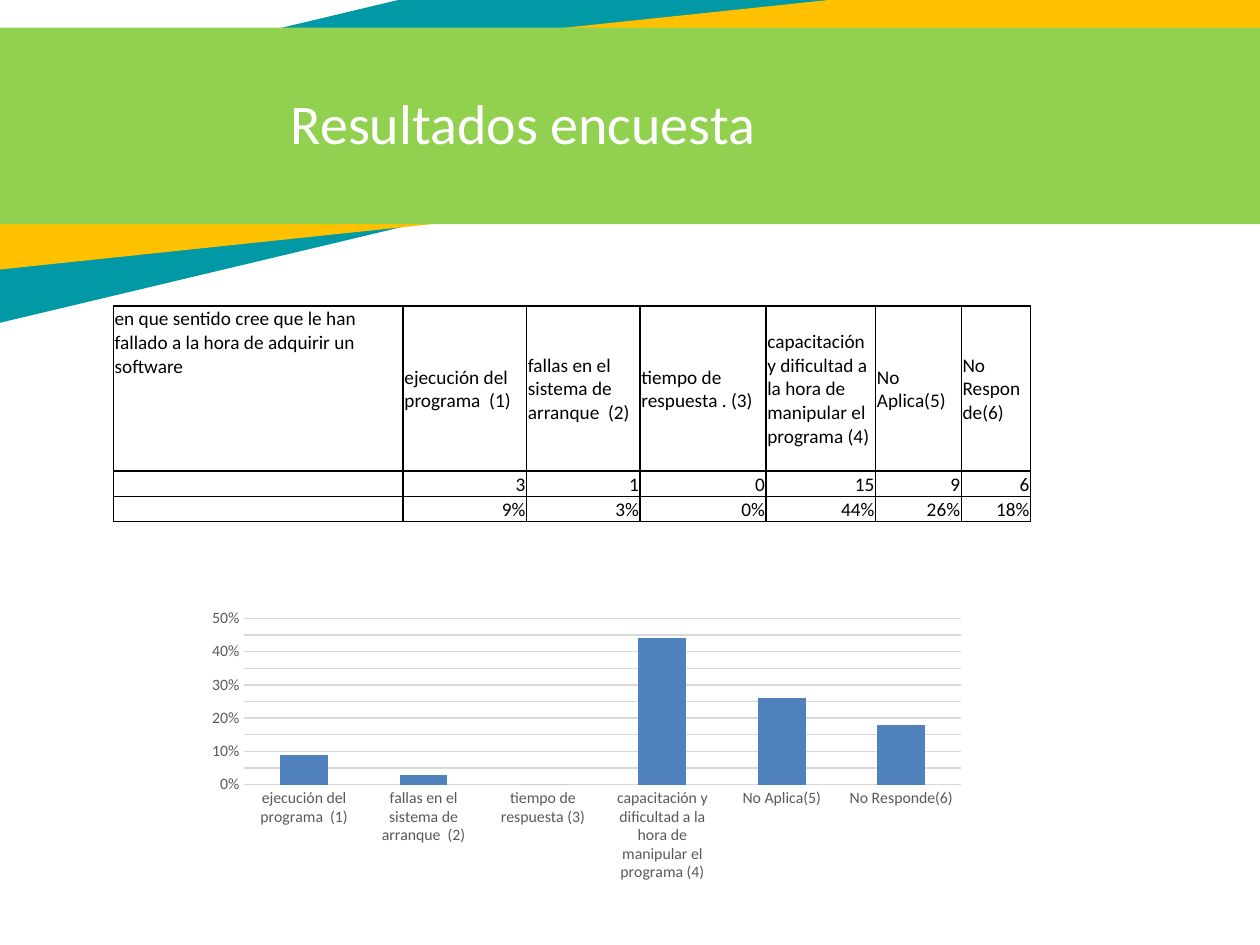
from lxml import etree
from pptx import Presentation
from pptx import util as u
from pptx.chart.data import CategoryChartData
from pptx.dml.color import RGBColor
from pptx.enum import chart as charts, shapes, text
from pptx.oxml.ns import qn

FONT = "Calibri"
COLORS = {
    "teal": "0099A5", "amber": "FFC000", "green": "92D050", "bar": "4F81BD",
    "grid": "D9D9D9", "label": "595959", "black": "000000", "white": "FFFFFF",
}

# Band: left, top, width, height, rotation, colour
BANDS = [
    (-2.51, -0.18, 13.06, 1.76, 346.6, "teal"),
    (-1.1, 0.2, 11.63, 1.44, 354, "amber"),
    (-1.06, 0.22, 11.63, 1.56, 0, "green"),
]

QUESTION = "en que sentido cree que le han fallado a la hora de adquirir un software"
ANSWERS = [
    "ejecución del programa  (1)",
    "fallas en el sistema de arranque  (2)",
    "tiempo de respuesta . (3)",
    "capacitación y dificultad a la hora de manipular el programa (4)",
    "No Aplica(5)",
    "No Responde(6)",
]
COUNTS = [3, 1, 0, 15, 9, 6]
SHARES = [0.09, 0.03, 0, 0.44, 0.26, 0.18]
COLUMN_WIDTHS = [2.3, 0.98, 0.9, 1, 0.87, 0.68, 0.55]
ROW_HEIGHTS = [1.31, 0.19, 0.2]


def rgb(name):
    return RGBColor.from_string(COLORS[name])


def box(left, top, width, height):
    return [u.Inches(length) for length in (left, top, width, height)]


def style_font(font, size, color):
    font.name = FONT
    font.size = u.Pt(size)
    font.color.rgb = rgb(color)


def write(frame, content, size=11, color="black", align=text.PP_ALIGN.LEFT):
    paragraph = frame.paragraphs[0]
    paragraph.alignment = align
    if content:
        run = paragraph.add_run()
        run.text = content
        style_font(run.font, size, color)
    else:
        # An empty cell keeps the line height of its row
        etree.SubElement(paragraph._p, qn("a:endParaRPr"), sz=str(size * 100))


def add_band(slide, left, top, width, height, rotation, color):
    band = slide.shapes.add_shape(
        shapes.MSO_SHAPE.RECTANGLE, *box(left, top, width, height))
    band.rotation = rotation
    band.shadow.inherit = False
    band.fill.solid()
    band.fill.fore_color.rgb = rgb(color)
    band.line.fill.background()


def add_title(slide):
    title = slide.shapes.add_textbox(*box(2.21, 0.65, 3.93, 0.64))
    title.text_frame.word_wrap = False
    title.text_frame.auto_size = text.MSO_AUTO_SIZE.SHAPE_TO_FIT_TEXT
    write(title.text_frame, "Resultados encuesta", size=32, color="white")


def add_borders(cell):
    properties = cell._tc.get_or_add_tcPr()
    for index, side in enumerate(("lnL", "lnR", "lnT", "lnB")):
        line = etree.Element(qn(f"a:{side}"), w=str(u.Pt(1)))
        fill = etree.SubElement(line, qn("a:solidFill"))
        etree.SubElement(fill, qn("a:srgbClr"), val=COLORS["black"])
        properties.insert(index, line)


def add_results_table(slide):
    rows = [
        [QUESTION, *ANSWERS],
        ["", *map(str, COUNTS)],
        ["", *(f"{share:.0%}" for share in SHARES)],
    ]
    table = slide.shapes.add_table(
        len(rows), len(COLUMN_WIDTHS), *box(0.9, 2.43, 7.27, 1.7)).table
    table.first_row = table.horz_banding = False
    for column, width in zip(table.columns, COLUMN_WIDTHS):
        column.width = u.Inches(width)
    for row, height in zip(table.rows, ROW_HEIGHTS):
        row.height = u.Inches(height)

    for r, row in enumerate(rows):
        for c, content in enumerate(row):
            cell = table.cell(r, c)
            cell.margin_left = cell.margin_right = cell.margin_top = u.Inches(0.01)
            cell.margin_bottom = 0
            cell.fill.background()
            add_borders(cell)
            if r > 0:
                cell.vertical_anchor = text.MSO_ANCHOR.BOTTOM
            elif c > 0:
                cell.vertical_anchor = text.MSO_ANCHOR.MIDDLE
            write(cell.text_frame, content,
                  align=text.PP_ALIGN.RIGHT if r else text.PP_ALIGN.LEFT)


def style_line(line, color="grid"):
    line.color.rgb = rgb(color)
    line.width = u.Pt(0.75)


def add_results_chart(slide):
    data = CategoryChartData(number_format="0%")
    data.categories = [answer.replace(" . ", " ") for answer in ANSWERS]
    data.add_series("Series 1", SHARES)
    chart = slide.shapes.add_chart(
        charts.XL_CHART_TYPE.COLUMN_STACKED, *box(1.56, 4.79, 6.19, 2.25), data).chart
    chart.has_legend = chart.has_title = False
    style_font(chart.font, 10, "black")

    plot = chart.plots[0]
    plot.gap_width = 150
    plot.overlap = 100
    plot.vary_by_categories = False
    columns = plot.series[0].format.fill
    columns.solid()
    columns.fore_color.rgb = rgb("bar")

    answer_axis, share_axis = chart.category_axis, chart.value_axis
    for axis in (answer_axis, share_axis):
        axis.major_tick_mark = axis.minor_tick_mark = charts.XL_TICK_MARK.NONE
        style_font(axis.tick_labels.font, 9, "label")
    style_line(answer_axis.format.line)

    share_axis.minimum_scale, share_axis.maximum_scale = 0, 0.5
    share_axis.major_unit, share_axis.minor_unit = 0.1, 0.05
    share_axis.tick_labels.number_format = "0%"
    share_axis.tick_labels.number_format_is_linked = False
    share_axis.format.line.fill.background()
    share_axis.has_major_gridlines = share_axis.has_minor_gridlines = True
    style_line(share_axis.major_gridlines.format.line)
    # Minor gridlines take the same line as the major ones
    minor = share_axis._element.find(qn("c:minorGridlines"))
    major = share_axis._element.find(qn("c:majorGridlines"))
    minor.append(etree.fromstring(etree.tostring(major[0])))


def main():
    deck = Presentation()
    deck.slide_width, deck.slide_height = u.Inches(10), u.Inches(7.5)
    slide = deck.slides.add_slide(deck.slide_layouts[6])

    # Header bands, from back to front
    for band in BANDS:
        add_band(slide, *band)

    # Survey results
    add_results_table(slide)
    add_results_chart(slide)
    add_title(slide)

    deck.save("out.pptx")


if __name__ == "__main__":
    main()
